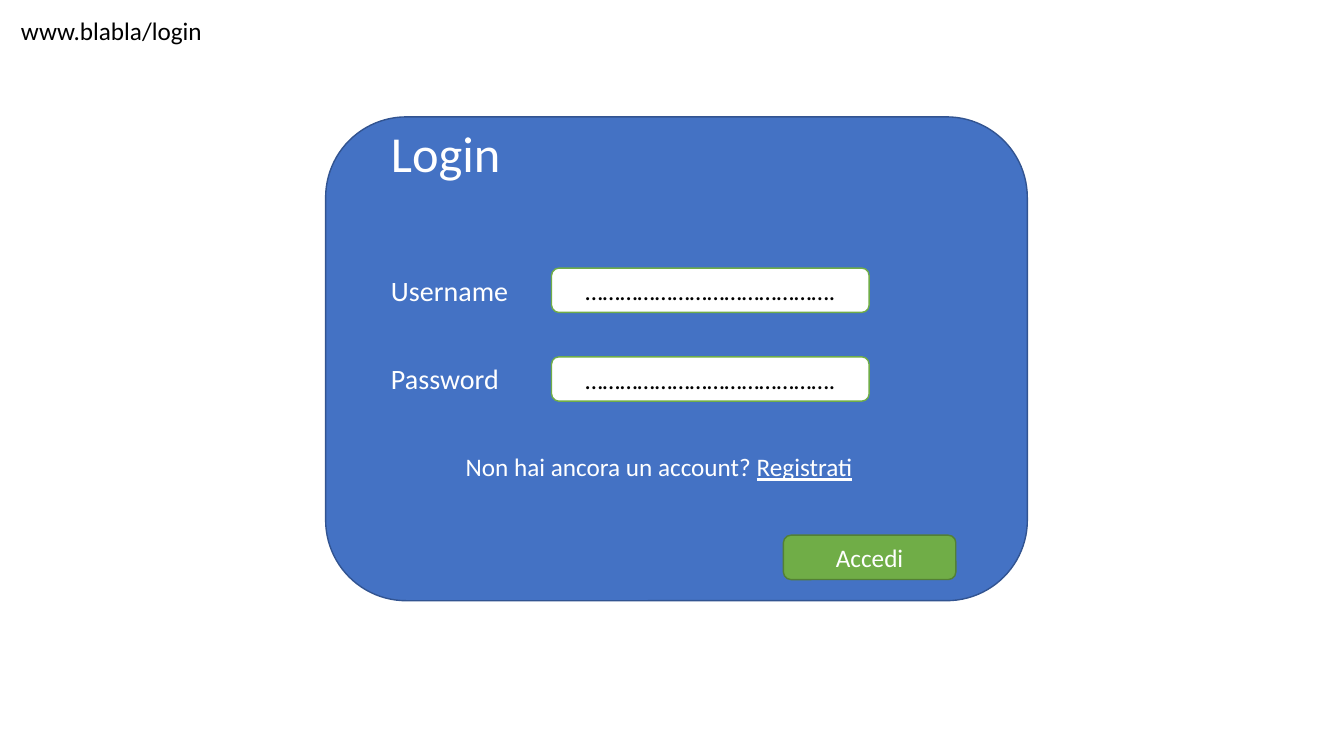
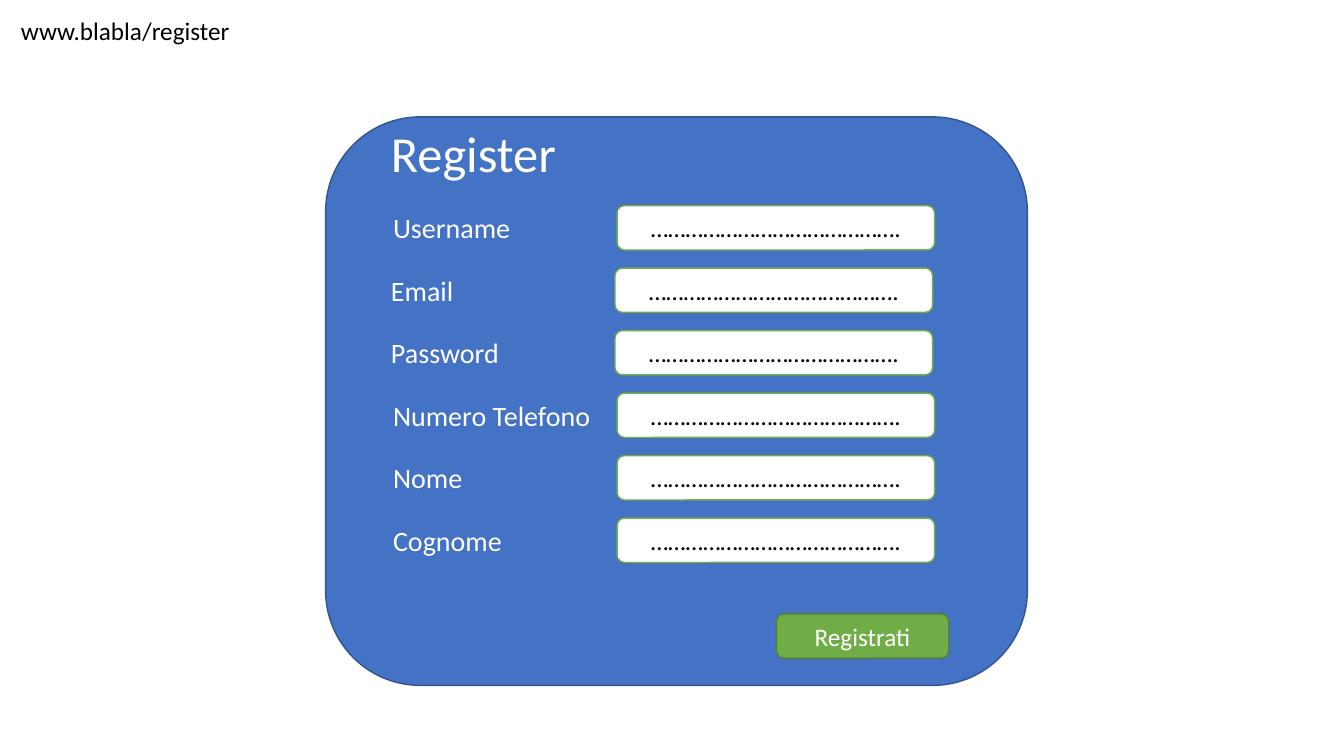
from pptx import Presentation
from pptx import util as u
from pptx.dml import color
from pptx.enum import shapes, text

WHITE, BLACK = "FFFFFF", "000000"
BLUE, DARK_BLUE = "4472C4", "325491"
GREEN, DARK_GREEN = "70AD47", "538035"
FONT = "Calibri"
BLANK_LAYOUT = 6
LEFT, TOP = 3.78, 1.16
ROW_HEIGHT = 0.44
DOTS = "……………………………………."


def rgb(value):
    """Turn a hex string into a colour."""
    return color.RGBColor.from_string(value)


class FormDeck:
    """Hold the form style and the current slide."""

    def __init__(self):
        """Start a widescreen presentation."""
        self.presentation = Presentation()
        self.presentation.slide_width = u.Inches(13.33)
        self.presentation.slide_height = u.Inches(7.5)
        self.slide = None

    def page(self, address, title, card_height):
        """Add a slide with its card, title and address."""
        layout = self.presentation.slide_layouts[BLANK_LAYOUT]
        self.slide = self.presentation.slides.add_slide(layout)
        self.box(3.23, TOP, 6.96, card_height, BLUE, DARK_BLUE)
        self.label(LEFT, TOP, 2.47, 0.71, [title], 36)
        self.label(0.11, 0.1, 3.55, 0.4, [address], 18, BLACK)

    def format_runs(self, paragraph, size, ink):
        """Give every run of a paragraph the shared font."""
        for run in paragraph.runs:
            run.font.name = FONT
            run.font.size = u.Pt(size)
            run.font.color.rgb = rgb(ink)

    def box(self, left, top, width, height, fill, line, caption="", ink=WHITE):
        """Add a rounded box with an optional centred caption."""
        shape = self.slide.shapes.add_shape(
            shapes.MSO_SHAPE.ROUNDED_RECTANGLE,
            u.Inches(left), u.Inches(top), u.Inches(width), u.Inches(height))
        shape.shadow.inherit = False
        shape.fill.solid()
        shape.fill.fore_color.rgb = rgb(fill)
        shape.line.color.rgb = rgb(line)
        shape.line.width = u.Pt(1)
        if caption:
            frame = shape.text_frame
            frame.text = caption
            frame.vertical_anchor = text.MSO_ANCHOR.MIDDLE
            paragraph = frame.paragraphs[0]
            paragraph.alignment = text.PP_ALIGN.CENTER
            self.format_runs(paragraph, 18, ink)

    def label(self, left, top, width, height, parts, size, ink=WHITE):
        """Add a text box with one run for each part."""
        shape = self.slide.shapes.add_textbox(
            u.Inches(left), u.Inches(top), u.Inches(width), u.Inches(height))
        frame = shape.text_frame
        frame.word_wrap = True
        frame.auto_size = text.MSO_AUTO_SIZE.SHAPE_TO_FIT_TEXT
        paragraph = frame.paragraphs[0]
        for part in parts:
            paragraph.add_run().text = part
        self.format_runs(paragraph, size, ink)
        return paragraph

    def field(self, name, label_left, input_left, top):
        """Add a field name with its input box."""
        self.label(label_left, top, 2.33, ROW_HEIGHT, [name], 20)
        self.box(input_left, top, 3.15, ROW_HEIGHT, WHITE, GREEN, DOTS, BLACK)

    def button(self, caption, left, top):
        """Add a green button."""
        self.box(left, top, 1.71, ROW_HEIGHT, GREEN, DARK_GREEN, caption)


def build_login(deck):
    """Build the login form."""
    deck.page("www.blabla/login", "Login", 4.8)
    for row, name in enumerate(("Username", "Password")):
        deck.field(name, LEFT, 5.47, 2.66 + 0.88 * row)
    prompt = deck.label(
        4.52, 4.43, 5.06, 0.4, ["Non hai ancora un account? ", "Registrati"], 18)
    prompt.runs[-1].font.underline = True
    deck.button("Accedi", 7.77, 5.31)


def build_register(deck):
    """Build the registration form."""
    deck.page("www.blabla/register", "Register", 5.64)
    fields = (("Username", 0.02), ("Email", 0), ("Password", 0),
              ("Numero Telefono", 0.02), ("Nome", 0.02), ("Cognome", 0.02))
    for row, (name, shift) in enumerate(fields):
        deck.field(name, LEFT + shift, 6.1 + shift, 2.04 + 0.62 * row)
    deck.button("Registrati", 7.7, 6.09)


def main():
    """Build and save both forms."""
    deck = FormDeck()
    build_login(deck)
    build_register(deck)
    deck.presentation.save("out.pptx")


if __name__ == "__main__":
    main()
